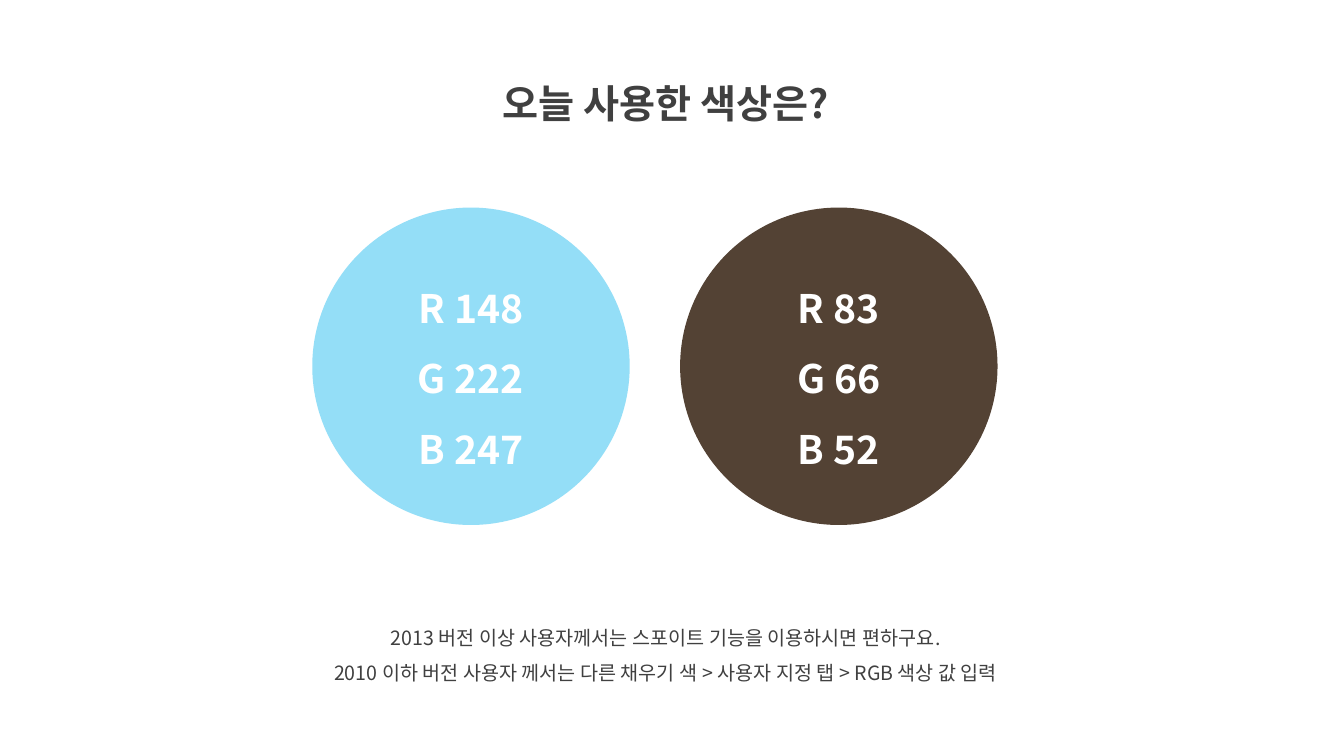
"""Build a slide that lists the colours used today as RGB values."""
from lxml import etree
from pptx import Presentation
from pptx.dml.color import RGBColor
from pptx.enum.shapes import MSO_SHAPE
from pptx.enum.text import MSO_ANCHOR, MSO_AUTO_SIZE, PP_ALIGN
from pptx.oxml.ns import qn
from pptx.util import Cm, Pt

TITLE = "오늘 사용한 색상은?"
NOTES = [
    "2013 버전 이상 사용자께서는 스포이트 기능을 이용하시면 편하구요.",
    "2010 이하 버전 사용자 께서는 다른 채우기 색 > 사용자 지정 탭 > RGB 색상 값 입력",
]
SWATCHES = [(148, 222, 247), (83, 66, 52)]

FONT = "Noto Sans CJK KR"
GREY = RGBColor(0x40, 0x40, 0x40)
WHITE = RGBColor(0xFF, 0xFF, 0xFF)
CENTER = PP_ALIGN.CENTER
MIDDLE = MSO_ANCHOR.MIDDLE
OVAL = MSO_SHAPE.OVAL
FIT = MSO_AUTO_SIZE.SHAPE_TO_FIT_TEXT

SWATCH_LEFT, SWATCH_TOP, SWATCH_SIZE, SWATCH_STEP = 7.87, 5.23, 8, 9.27


def write(tf, lines, size, color, bold):
    tf.word_wrap = True
    tf.text = "\n".join(lines)
    for p in tf.paragraphs:
        p.alignment = CENTER
        p.line_spacing = 1.5
        for r in p.runs:
            r.font.name = FONT
            r.font.size = Pt(size)
            r.font.bold = bold
            r.font.color.rgb = color
            etree.SubElement(r._r.get_or_add_rPr(), qn("a:ea"), typeface=FONT)


def add_text(s, box, lines, size, bold):
    tf = s.shapes.add_textbox(*map(Cm, box)).text_frame
    write(tf, lines, size, GREY, bold)
    tf.auto_size = FIT


def add_swatch(s, index, rgb):
    left = SWATCH_LEFT + index * SWATCH_STEP
    sp = s.shapes.add_shape(OVAL, Cm(left), Cm(SWATCH_TOP), Cm(SWATCH_SIZE), Cm(SWATCH_SIZE))
    sp.shadow.inherit = False
    sp.fill.solid()
    sp.fill.fore_color.rgb = RGBColor(*rgb)
    sp.line.fill.background()
    sp.text_frame.vertical_anchor = MIDDLE
    lines = [f"{channel} {value}" for channel, value in zip("RGB", rgb)]
    write(sp.text_frame, lines, 28, WHITE, True)


def main():
    prs = Presentation()
    prs.slide_width, prs.slide_height = Cm(33.87), Cm(19.05)
    s = prs.slides.add_slide(prs.slide_layouts[6])
    add_text(s, (10.9, 1.27, 11.76, 1.83), [TITLE], 28, True)
    add_text(s, (6.63, 15.34, 20.29, 2.06), NOTES, 14, False)
    for index, rgb in enumerate(SWATCHES):
        add_swatch(s, index, rgb)
    prs.save("out.pptx")


if __name__ == "__main__":
    main()
